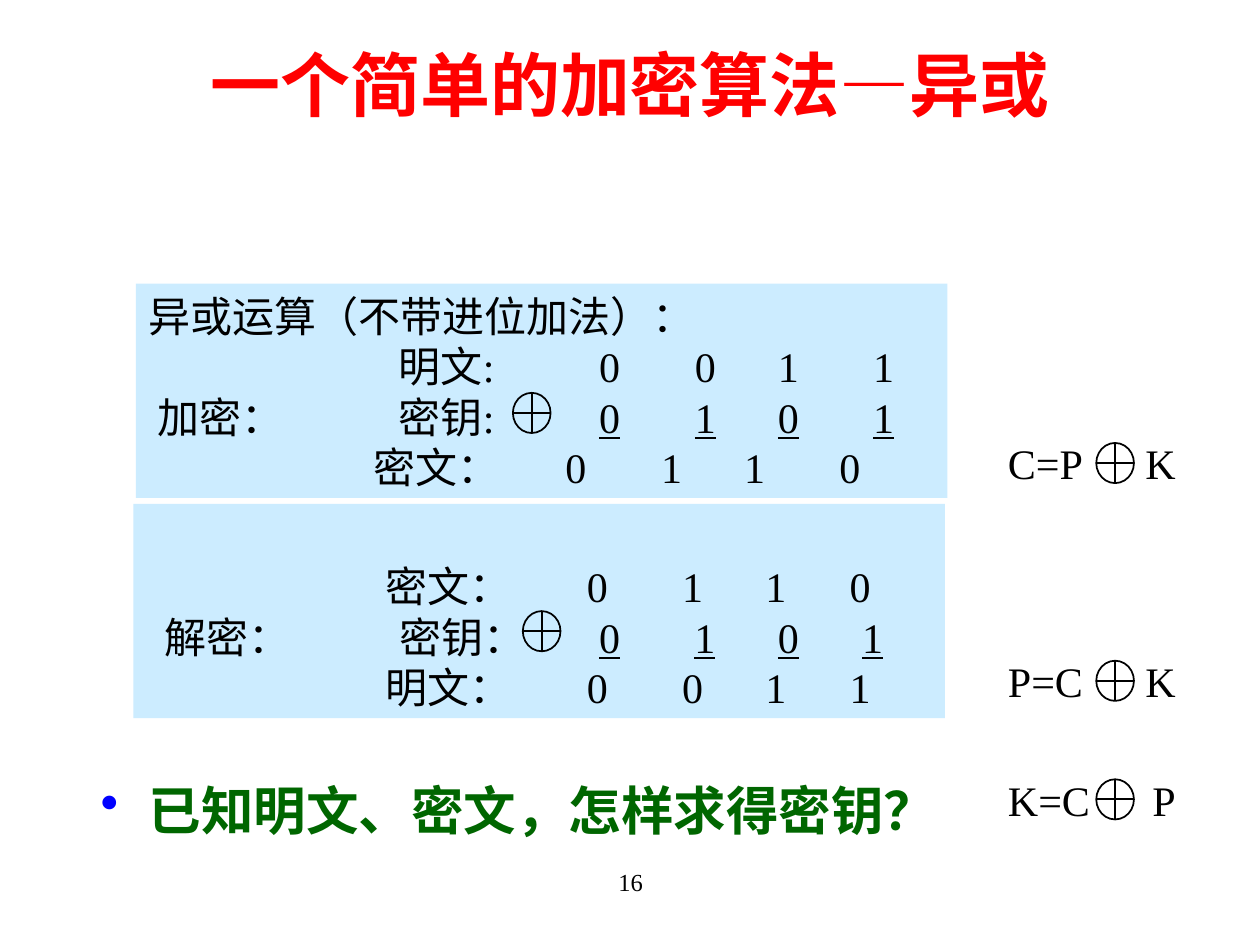
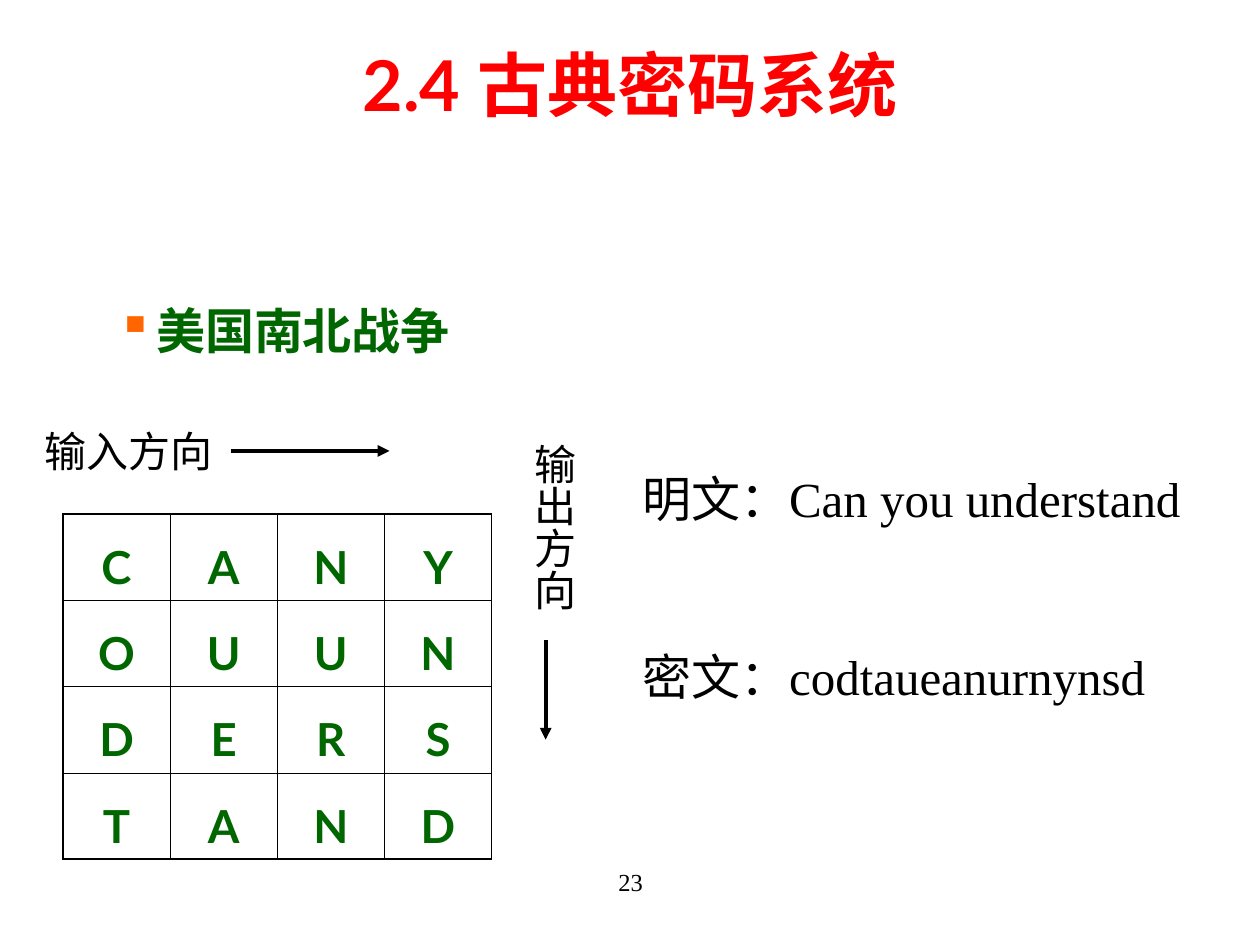
"""Build two cryptography slides: XOR encryption and a columnar transposition cipher."""
import itertools

import pptx
import pptx.dml.color
import pptx.enum.shapes
import pptx.enum.text
import pptx.oxml
import pptx.oxml.ns
import pptx.util
from pptx.util import Cm

BLACK, RED, GREEN = "000000", "FF0000", "006600"
BLUE, ORANGE, PANEL_BLUE = "0000FF", "FF6600", "CCECFF"
BODY_FONT, BOLD_FONT = "Times New Roman", "Lato"
ALIGN = pptx.enum.text.PP_ALIGN
ANCHOR = pptx.enum.text.MSO_ANCHOR
SHAPE = pptx.enum.shapes.MSO_SHAPE


def bits(start, digits, offsets, underlined=False):
    return [(start + offset, digit, underlined) for offset, digit in zip(offsets, digits)]


ENCRYPT_OFFSETS = (0, 1.93, 3.6, 5.52)
DECRYPT_OFFSETS = (0, 1.92, 3.6, 5.3)
PANELS = [
    ((2.74, 5.72, 16.36, 4.32), [
        [(0, "异或运算（不带进位加法）：", False)],
        [(5.05, "明文:", False)] + bits(9.09, "0011", ENCRYPT_OFFSETS),
        [(0.18, "加密：", False), (5.05, "密钥:", False), (7.42, "", False)]
        + bits(9.09, "0101", ENCRYPT_OFFSETS, True),
        [(4.55, "密文：", False)] + bits(8.41, "0110", ENCRYPT_OFFSETS),
    ]),
    ((2.69, 10.16, 16.36, 4.32), [
        [(4.83, "密文：", False)] + bits(8.89, "0110", DECRYPT_OFFSETS),
        [(0.38, "解密：", False), (5.11, "密钥：", False), (8.94, "", True), (9.1, "", False)]
        + bits(9.14, "0101", DECRYPT_OFFSETS, True),
        [(4.83, "明文：", False)] + bits(8.89, "0011", DECRYPT_OFFSETS),
    ]),
]
KEY_OPERATORS = [(10.34, 7.92), (10.54, 12.32)]
FORMULAS = [("C=P", "K", 8.74), ("P=C", "K", 13.13), ("K=C", "P", 15.52)]
FORMULA_LEFT, FORMULA_TAB, OPERATOR_LEFT = 20.07, 3.38, 22.1
OPERATOR_WIDTH, OPERATOR_HEIGHT = 0.76, 0.81

CIPHER_GRID = ["CANY", "OUUN", "DERS", "TAND"]
GRID_LEFT, GRID_TOP, CELL_WIDTH, CELL_HEIGHT = 1.27, 10.36, 2.16, 1.74
DIRECTION_ARROWS = [(11, 12.9, 11, 14.91), (4.65, 9.09, 7.85, 9.09)]
MESSAGES = ["明文：Can you understand", "密文：codtaueanurnynsd"]


def rgb(colour):
    return pptx.dml.color.RGBColor.from_string(colour)


def xml(markup):
    return pptx.oxml.parse_xml(
        markup.replace(" ", f" {pptx.oxml.ns.nsdecls('a')} ", 1))


def style(paragraph, size, colour=BLACK, bold=False):
    for run in paragraph.runs:
        run.font.size = pptx.util.Pt(size)
        run.font.name = BOLD_FONT if bold else BODY_FONT
        run.font.bold = bold
        run.font.color.rgb = rgb(colour)


def add_text(slide, box, lines, size, colour=BLACK, bold=False, align=ALIGN.LEFT):
    frame = slide.shapes.add_textbox(*map(Cm, box)).text_frame
    frame.word_wrap = True
    frame.text = "\n".join(lines)
    for paragraph in frame.paragraphs:
        paragraph.alignment = align
        style(paragraph, size, colour, bold)
    return frame


def add_tabs(paragraph, stops):
    tabs = "".join(f'<a:tab pos="{Cm(position)}" algn="{align}"/>' for position, align in stops)
    paragraph._p.get_or_add_pPr().append(xml(f"<a:tabLst >{tabs}</a:tabLst>"))


def add_bullet(slide, box, text, size, mark, mark_colour, margin, hanging):
    paragraph = add_text(slide, box, [text], size, GREEN, True).paragraphs[0]
    properties = paragraph._p.get_or_add_pPr()
    properties.set("marL", str(Cm(margin)))
    properties.set("indent", str(-Cm(hanging)))
    properties.append(xml(f'<a:buClr ><a:srgbClr val="{mark_colour}"/></a:buClr>'))
    properties.append(xml(f'<a:buChar char="{mark}"/>'))
    paragraph.line_spacing = 1.35


def add_line(shapes, ends, width, arrow=False):
    line = shapes.add_connector(pptx.enum.shapes.MSO_CONNECTOR.STRAIGHT, *map(Cm, ends))
    line.line.color.rgb = rgb(BLACK)
    line.line.width = pptx.util.Pt(width)
    if arrow:
        line.line._get_or_add_ln().append(xml('<a:tailEnd type="triangle"/>'))
    line._element.spPr.append(xml("<a:effectLst />"))


def add_operator(slide, left, top):
    operator = slide.shapes.add_group_shape().shapes
    circle = operator.add_shape(
        SHAPE.OVAL, *map(Cm, (left, top, OPERATOR_WIDTH, OPERATOR_HEIGHT)))
    circle.shadow.inherit = False
    circle.fill.background()
    circle.line.color.rgb = rgb(BLACK)
    circle.line.width = pptx.util.Pt(1)
    middle, centre = top + OPERATOR_HEIGHT / 2, left + OPERATOR_WIDTH / 2
    add_line(operator, (left, middle, left + OPERATOR_WIDTH, middle), 1)
    add_line(operator, (centre, top, centre, top + OPERATOR_HEIGHT), 1)


def add_panel(slide, box, rows):
    panel = slide.shapes.add_shape(SHAPE.RECTANGLE, *map(Cm, box))
    panel.shadow.inherit = False
    panel.fill.solid()
    panel.fill.fore_color.rgb = rgb(PANEL_BLUE)
    panel.line.fill.background()
    frame = panel.text_frame
    frame.vertical_anchor = ANCHOR.BOTTOM
    for index, row in enumerate(rows):
        paragraph = frame.add_paragraph() if index else frame.paragraphs[0]
        paragraph.alignment = ALIGN.LEFT
        add_tabs(paragraph, [(position, "l") for position, _, _ in row if position])
        for underlined, cells in itertools.groupby(row, key=lambda cell: cell[2]):
            run = paragraph.add_run()
            run.text = "".join(("\t" if position else "") + text for position, text, _ in cells)
            run.font.underline = underlined
        style(paragraph, 24)


def add_grid(slide):
    last = len(CIPHER_GRID) - 1
    size = len(CIPHER_GRID)
    box = (GRID_LEFT, GRID_TOP, CELL_WIDTH * size, CELL_HEIGHT * size)
    grid = slide.shapes.add_table(size, size, *map(Cm, box)).table
    grid.first_row = grid.horz_banding = False
    for y, letters in enumerate(CIPHER_GRID):
        grid.rows[y].height = Cm(CELL_HEIGHT)
        grid.columns[y].width = Cm(CELL_WIDTH)
        for x, letter in enumerate(letters):
            cell = grid.cell(y, x)
            cell.text = letter
            paragraph = cell.text_frame.paragraphs[0]
            paragraph.alignment = ALIGN.CENTER
            paragraph.line_spacing = 1.35
            style(paragraph, 26, GREEN, True)
            outer_sides = {"L": x == 0, "R": x == last, "T": y == 0, "B": y == last}
            for side, outer in outer_sides.items():
                width = pptx.util.Pt(1.08 if outer else 0.45)
                cell._tc.get_or_add_tcPr().append(xml(
                    f'<a:ln{side} w="{width}"><a:solidFill><a:srgbClr val="{BLACK}"/>'
                    f"</a:solidFill></a:ln{side}>"))
            cell.fill.background()


def add_slide(deck, title, number):
    slide = deck.slides.add_slide(deck.slide_layouts[5])
    heading = slide.shapes.title
    heading.left, heading.top, heading.width, heading.height = map(Cm, (0, 0.84, 25.4, 1.7))
    frame = heading.text_frame
    frame.text = title
    frame.auto_size = pptx.enum.text.MSO_AUTO_SIZE.NONE
    frame.vertical_anchor = ANCHOR.MIDDLE
    frame.paragraphs[0].alignment = ALIGN.CENTER
    style(frame.paragraphs[0], 40, RED, True)
    add_text(slide, (8.69, 17.35, 8.05, 1.27), [number], 14, align=ALIGN.CENTER)
    return slide


def build_xor(deck):
    slide = add_slide(deck, "一个简单的加密算法—异或", "16")
    for box, rows in PANELS:
        add_panel(slide, box, rows)
    for left, top in KEY_OPERATORS:
        add_operator(slide, left, top)
    for result, operand, top in FORMULAS:
        formula = add_text(
            slide, (FORMULA_LEFT, top, 3.94, 1.19), [f"{result}\t{operand}"], 24)
        formula.vertical_anchor = ANCHOR.MIDDLE
        add_tabs(formula.paragraphs[0], [(FORMULA_TAB, "r")])
        add_operator(slide, OPERATOR_LEFT, top + 0.19)
    add_bullet(slide, (1.78, 15.11, 20, 2), "已知明文、密文，怎样求得密钥？",
               30, "•", BLUE, 0.97, 0.97)


def build_transposition(deck):
    slide = add_slide(deck, "2.4 古典密码系统", "23")
    add_bullet(slide, (0.84, 5.51, 10.36, 2.31), "美国南北战争", 28, "▪", ORANGE, 2.06, 0.79)
    add_grid(slide)
    add_text(slide, (0.64, 8.46, 4.8, 1.27), ["输入方向"], 24)
    output = add_text(slide, (10.29, 8.69, 1.52, 4.01), ["输出方向"], 24)
    output._txBody.bodyPr.set("vert", "eaVert")
    output.margin_left = output.margin_right = Cm(0.13)
    output.margin_top = output.margin_bottom = Cm(0.25)
    for ends in DIRECTION_ARROWS:
        add_line(slide.shapes, ends, 2.25, arrow=True)
    messages = add_text(slide, (12.7, 9.32, 11.9, 5.05), MESSAGES, 28)
    messages.paragraphs[1].space_before = pptx.util.Pt(68)


def main():
    deck = pptx.Presentation()
    deck.slide_width, deck.slide_height = Cm(25.4), Cm(19.05)
    build_xor(deck)
    build_transposition(deck)
    deck.save("out.pptx")


if __name__ == "__main__":
    main()
